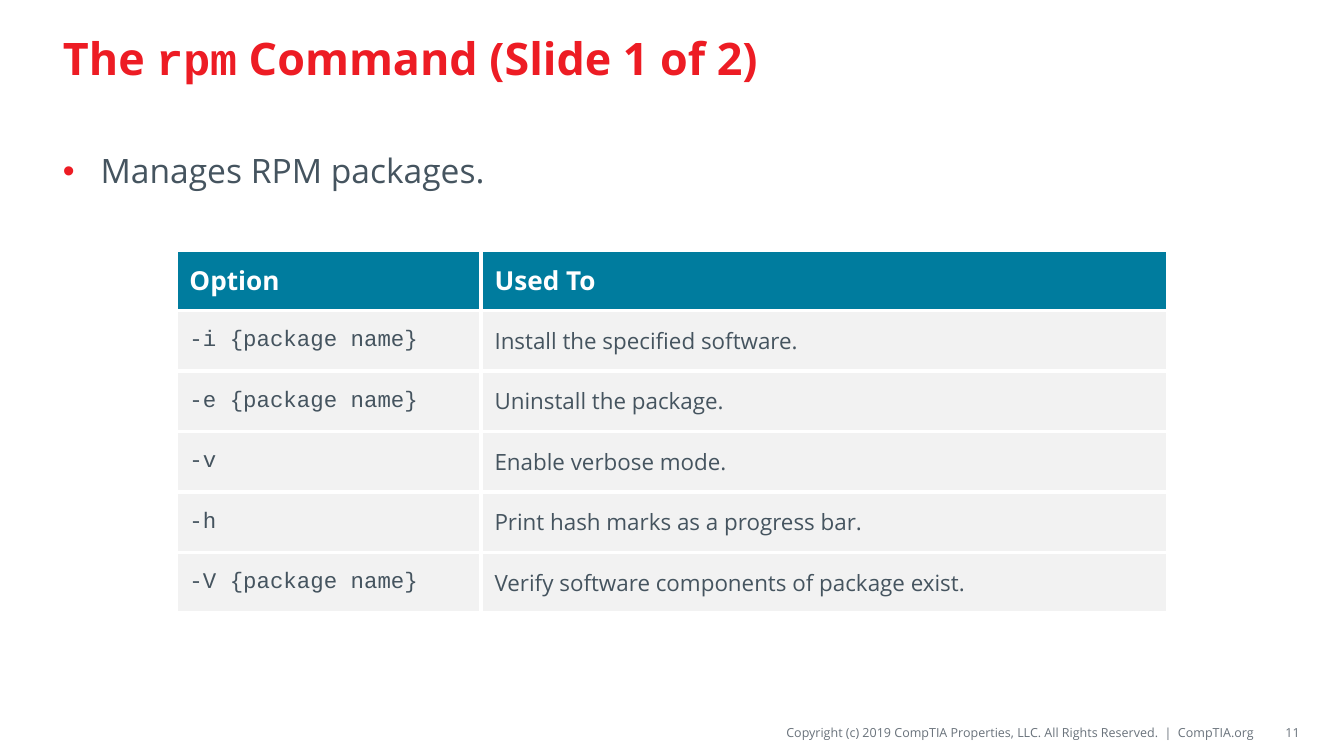
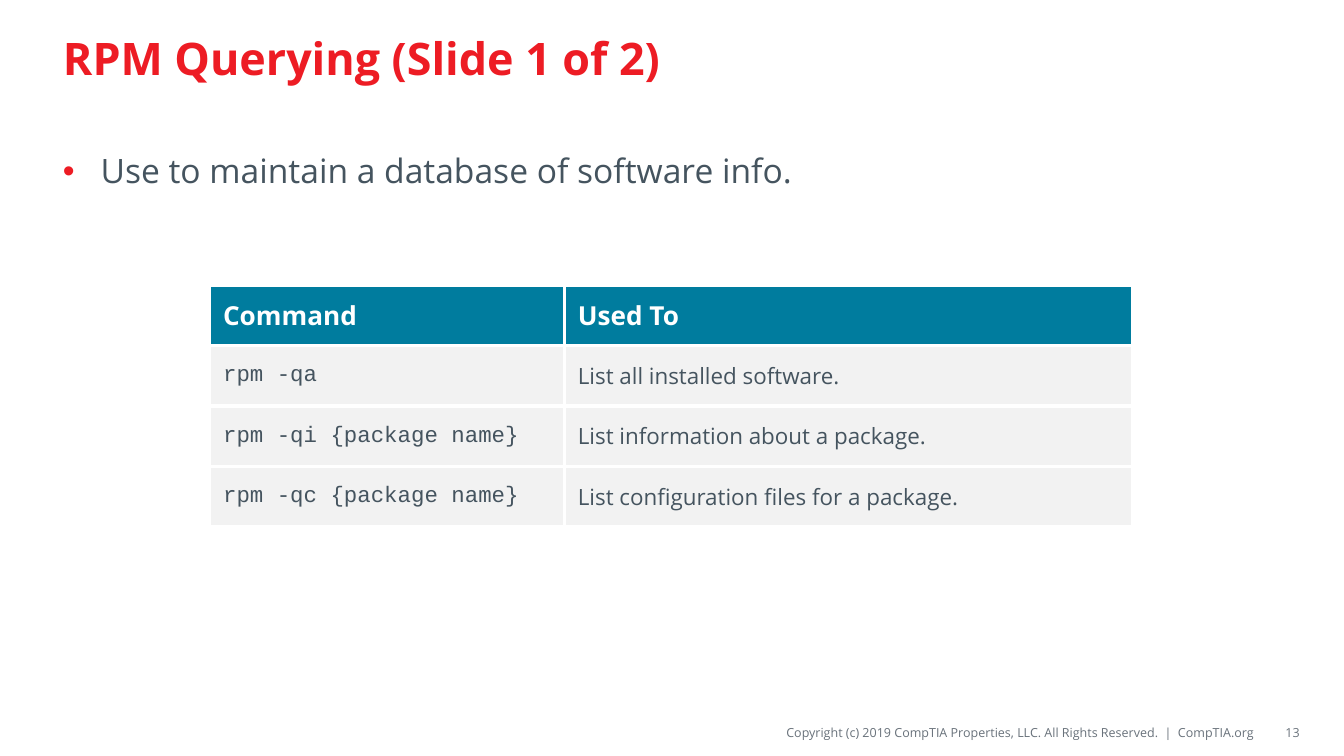
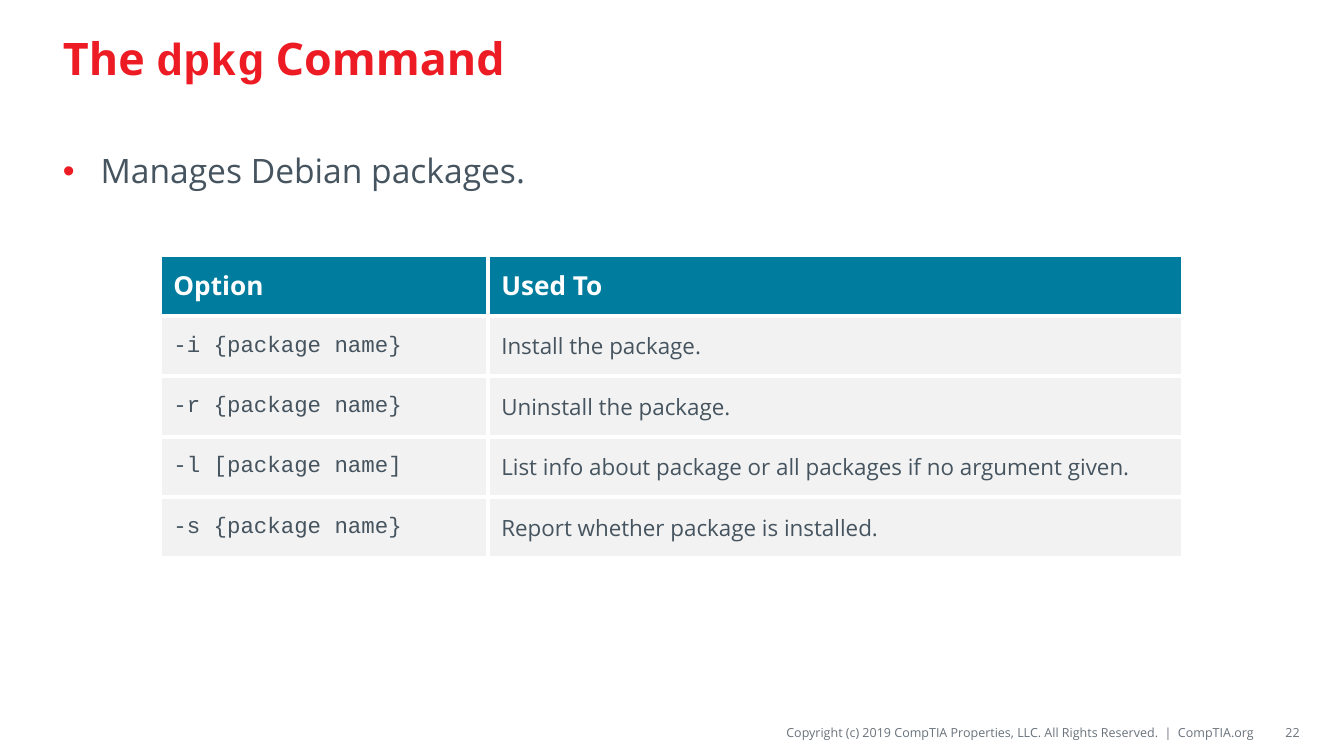
from lxml.etree import SubElement
from pptx import Presentation
from pptx.dml.color import RGBColor
from pptx.enum.text import MSO_ANCHOR, PP_ALIGN
from pptx.oxml.ns import qn
from pptx.util import Pt

PX = 9144  # 100 px to the inch
WIDTH = 1000
ROW = 45

RED = RGBColor(0xED, 0x1C, 0x24)
TEAL = RGBColor(0x00, 0x7C, 0x9E)
SLATE = RGBColor(0x45, 0x54, 0x5F)
GREY = RGBColor(0x69, 0x72, 0x7B)
PALE = RGBColor(0xF2, 0xF2, 0xF2)
WHITE = RGBColor(0xFF, 0xFF, 0xFF)

SANS, MONO = "Open Sans", "Courier New"
RIGHTS = "Copyright (c) 2019 CompTIA Properties, LLC. All Rights Reserved.  |  CompTIA.org"


def style(font, size, color, name=SANS, bold=False):
    font.size, font.name, font.bold = Pt(size), name, bold
    font.color.rgb = color


def add_box(slide, left, top, width, height, anchor=MSO_ANCHOR.MIDDLE):
    """Add a wrapping text box and return its text frame."""
    box = slide.shapes.add_textbox(left * PX, top * PX, width * PX, height * PX)
    frame = box.text_frame
    frame.word_wrap = True
    frame.vertical_anchor = anchor
    return frame


def add_title(slide, parts):
    """Write the title; every second part is code."""
    para = add_box(slide, 37, 8, 925, 69).paragraphs[0]
    for i, part in enumerate(parts):
        run = para.add_run()
        run.text = part
        style(run.font, 24, RED, MONO if i % 2 else SANS, True)


def add_bullet(slide, text):
    para = add_box(slide, 37, 107, 925, 390, MSO_ANCHOR.TOP).paragraphs[0]
    para.text = text
    props = para._p.get_or_add_pPr()
    props.set("marL", str(28 * PX))
    props.set("indent", str(-28 * PX))
    color = SubElement(props, qn("a:buClr"))
    SubElement(color, qn("a:srgbClr"), val=str(RED))
    SubElement(props, qn("a:buFont"), typeface="Arial")
    SubElement(props, qn("a:buChar"), char="•")
    style(para.runs[0].font, 18, SLATE)


def add_small(slide, left, width, text, inset, pad):
    """Add one right-aligned piece of the footer."""
    frame = add_box(slide, left, 534, width, 22)
    frame.margin_left, frame.margin_right = inset * PX, 0
    frame.margin_top = frame.margin_bottom = pad * PX
    para = frame.paragraphs[0]
    para.text = text
    para.alignment = PP_ALIGN.RIGHT
    style(para.runs[0].font, 6.75, GREY)


def add_footer(slide, number):
    add_small(slide, 388, 546, RIGHTS, 0, 4)
    add_small(slide, 938, 29, str(number), 10, 5)


def add_rules(cell):
    """Draw white borders on all four sides of a cell."""
    props = cell._tc.get_or_add_tcPr()
    for side in ("lnL", "lnR", "lnT", "lnB"):
        line = SubElement(props, qn(f"a:{side}"), w=str(Pt(2.25)))
        fill = SubElement(line, qn("a:solidFill"))
        SubElement(fill, qn("a:srgbClr"), val=str(WHITE))


def fill_cell(cell, text, fill, *look):
    add_rules(cell)
    cell.fill.solid()
    cell.fill.fore_color.rgb = fill
    cell.vertical_anchor = MSO_ANCHOR.MIDDLE
    para = cell.text_frame.paragraphs[0]
    para.text = text
    style(para.runs[0].font, *look)


def add_grid(slide, top, widths, rows):
    """Add a centred table: a header row, then code and its use."""
    total = sum(widths)
    left = (WIDTH - total) // 2
    table = slide.shapes.add_table(
        len(rows), len(widths), left * PX, top * PX,
        total * PX, len(rows) * ROW * PX).table
    table.horz_banding = False
    for col, width in zip(table.columns, widths):
        col.width = width * PX
    for r, row in enumerate(rows):
        table.rows[r].height = ROW * PX
        for c, text in enumerate(row):
            cell = table.cell(r, c)
            if r == 0:
                fill_cell(cell, text, TEAL, 14, WHITE, SANS, True)
            else:
                fill_cell(cell, text, PALE, 12, SLATE, SANS if c else MONO)


def add_page(deck, number, title, point, top, widths, rows):
    slide = deck.slides.add_slide(deck.slide_layouts[6])
    add_footer(slide, number)
    add_title(slide, title)
    add_bullet(slide, point)
    add_grid(slide, top, widths, rows)


def main():
    deck = Presentation()
    deck.slide_width = WIDTH * PX
    deck.slide_height = WIDTH * PX * 9 // 16
    add_page(
        deck, 11, ["The ", "rpm", " Command (Slide 1 of 2)"],
        "Manages RPM packages.", 186, (227, 511), [
            ("Option", "Used To"),
            ("-i {package name}", "Install the specified software."),
            ("-e {package name}", "Uninstall the package."),
            ("-v", "Enable verbose mode."),
            ("-h", "Print hash marks as a progress bar."),
            ("-V {package name}", "Verify software components of package exist."),
        ])
    add_page(
        deck, 13, ["RPM Querying (Slide 1 of 2)"],
        "Use to maintain a database of software info.", 212, (264, 423), [
            ("Command", "Used To"),
            ("rpm -qa", "List all installed software."),
            ("rpm -qi {package name}", "List information about a package."),
            ("rpm -qc {package name}", "List configuration files for a package."),
        ])
    add_page(
        deck, 22, ["The ", "dpkg", " Command"],
        "Manages Debian packages.", 190, (244, 517), [
            ("Option", "Used To"),
            ("-i {package name}", "Install the package."),
            ("-r {package name}", "Uninstall the package."),
            ("-l [package name]",
             "List info about package or all packages if no argument given."),
            ("-s {package name}", "Report whether package is installed."),
        ])
    deck.save("out.pptx")


if __name__ == "__main__":
    main()
